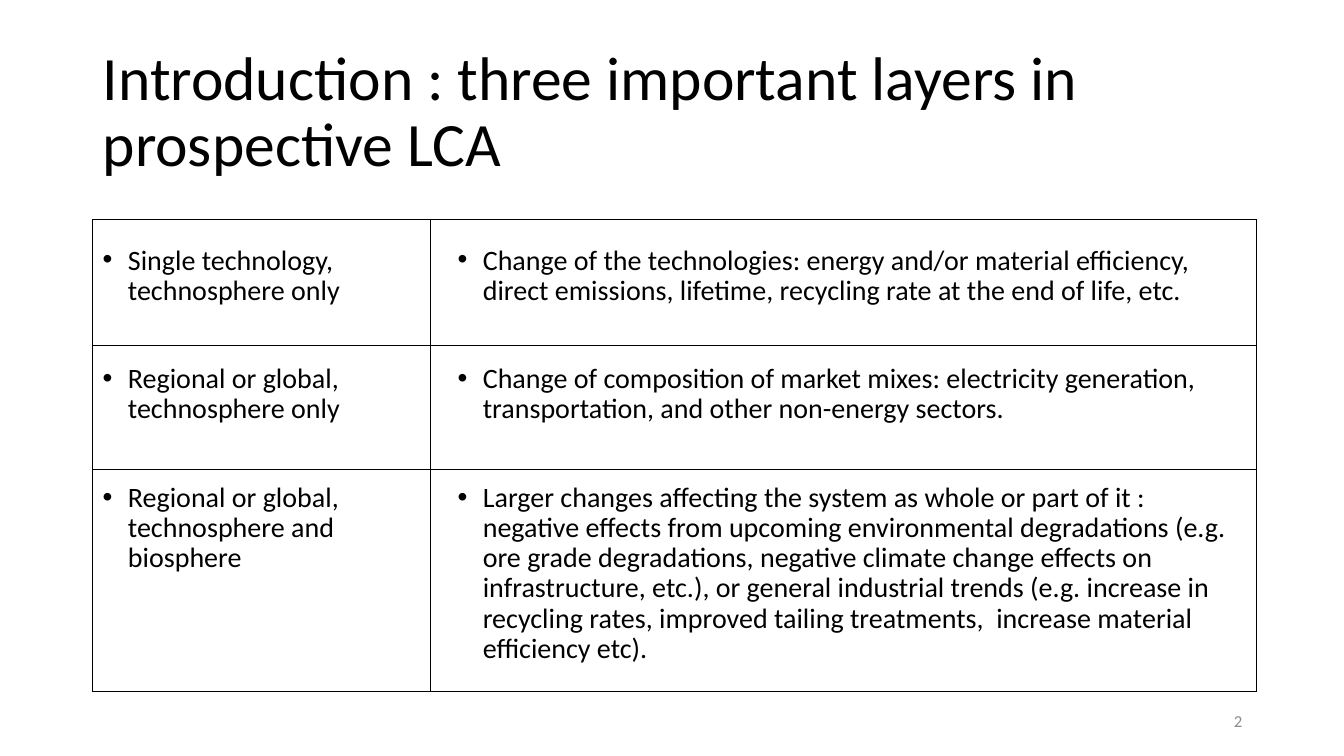
from lxml import etree
from pptx import Presentation
from pptx import util as u
from pptx.dml.color import RGBColor
from pptx.enum import text
from pptx.oxml import ns

FONT = "Calibri"
BLACK = "000000"
GREY = "8C8C8C"
COLUMN_WIDTHS = [3.35, 8.19]
ROW_HEIGHTS = [1.25, 1.23, 2.2]
LAYERS = [
    "Single technology, technosphere only",
    "Regional or global, technosphere only",
    "Regional or global, technosphere and biosphere",
]
CHANGES = [
    "Change of the technologies: energy and/or material efficiency, direct emissions, "
    "lifetime, recycling rate at the end of life, etc.",
    "Change of composition of market mixes: electricity generation, transportation, "
    "and other non-energy sectors.",
    "Larger changes affecting the system as whole or part of it : negative effects from "
    "upcoming environmental degradations (e.g. ore grade degradations, negative climate "
    "change effects on infrastructure, etc.), or general industrial trends (e.g. increase "
    "in recycling rates, improved tailing treatments,  increase material efficiency etc).",
]


def color(hex_string):
    """Turn a hex string into a colour."""
    return RGBColor.from_string(hex_string)


def add_text(slide, box, lines, size, hex_string=BLACK, anchor=text.MSO_ANCHOR.MIDDLE):
    """Place lines of text in a box and return their paragraphs."""
    frame = slide.shapes.add_textbox(*map(u.Inches, box)).text_frame
    frame.word_wrap = True
    frame.vertical_anchor = anchor
    frame.text = "\n".join(lines)
    for paragraph in frame.paragraphs:
        for run in paragraph.runs:
            run.font.name = FONT
            run.font.size = u.Pt(size)
            run.font.color.rgb = color(hex_string)
    return frame.paragraphs


def add_title(slide, box):
    """Place the slide title."""
    title = add_text(slide, box, ["Introduction : three important layers in prospective LCA"], 44)
    title[0].line_spacing = 0.9


def add_bullets(slide, box, points):
    """Place a column of bullets, spaced to match the table rows."""
    bullets = add_text(slide, box, points, 20, anchor=text.MSO_ANCHOR.TOP)
    for index, bullet in enumerate(bullets):
        bullet.line_spacing = 0.9
        bullet.space_before = u.Pt(41.5 if index else 10)
        properties = bullet._p.get_or_add_pPr()
        properties.set("marL", str(u.Inches(0.25)))
        properties.set("indent", str(u.Inches(-0.25)))
        etree.SubElement(properties, ns.qn("a:buFont"), typeface="Arial")
        etree.SubElement(properties, ns.qn("a:buChar"), char="•")


def set_borders(cell):
    """Draw a thin black line on every side of a cell."""
    properties = cell._tc.get_or_add_tcPr()
    for position, side in enumerate(("lnL", "lnR", "lnT", "lnB")):
        line = etree.Element(ns.qn(f"a:{side}"), w=str(u.Pt(1)))
        fill = etree.SubElement(line, ns.qn("a:solidFill"))
        etree.SubElement(fill, ns.qn("a:srgbClr"), val=BLACK)
        properties.insert(position, line)


def add_layer_grid(slide, box):
    """Place the ruled grid that frames the layers and their changes."""
    grid = slide.shapes.add_table(
        len(ROW_HEIGHTS), len(COLUMN_WIDTHS), *map(u.Inches, box)
    ).table
    grid.first_row = False
    grid.horz_banding = False
    for column, width in zip(grid.columns, COLUMN_WIDTHS):
        column.width = u.Inches(width)
    for row, height in zip(grid.rows, ROW_HEIGHTS):
        row.height = u.Inches(height)
    for cell in grid.iter_cells():
        cell.fill.background()
        set_borders(cell)


def add_layers(slide, box):
    """Place the grid and its two columns of bullets."""
    left, top, width, height = box
    add_layer_grid(slide, box)
    text_top = top + 0.21
    text_height = height + 0.08
    changes_left = left + COLUMN_WIDTHS[0] + 0.17
    add_bullets(slide, (left, text_top, 3.15, text_height), LAYERS)
    add_bullets(slide, (changes_left, text_top, left + width - changes_left, text_height), CHANGES)


def add_slide_number(slide, box):
    """Place the slide number."""
    number = add_text(slide, box, ["2"], 12, GREY)
    number[0].alignment = text.PP_ALIGN.RIGHT


def main():
    """Build and save the presentation."""
    deck = Presentation()
    deck.slide_width = u.Inches(13.33)
    deck.slide_height = u.Inches(7.5)
    slide = deck.slides.add_slide(deck.slide_layouts[6])
    add_title(slide, (0.92, 0.4, 12.05, 1.45))
    add_layers(slide, (0.92, 2.18, sum(COLUMN_WIDTHS), sum(ROW_HEIGHTS)))
    add_slide_number(slide, (9.42, 6.95, 3, 0.4))
    deck.save("out.pptx")


if __name__ == "__main__":
    main()
